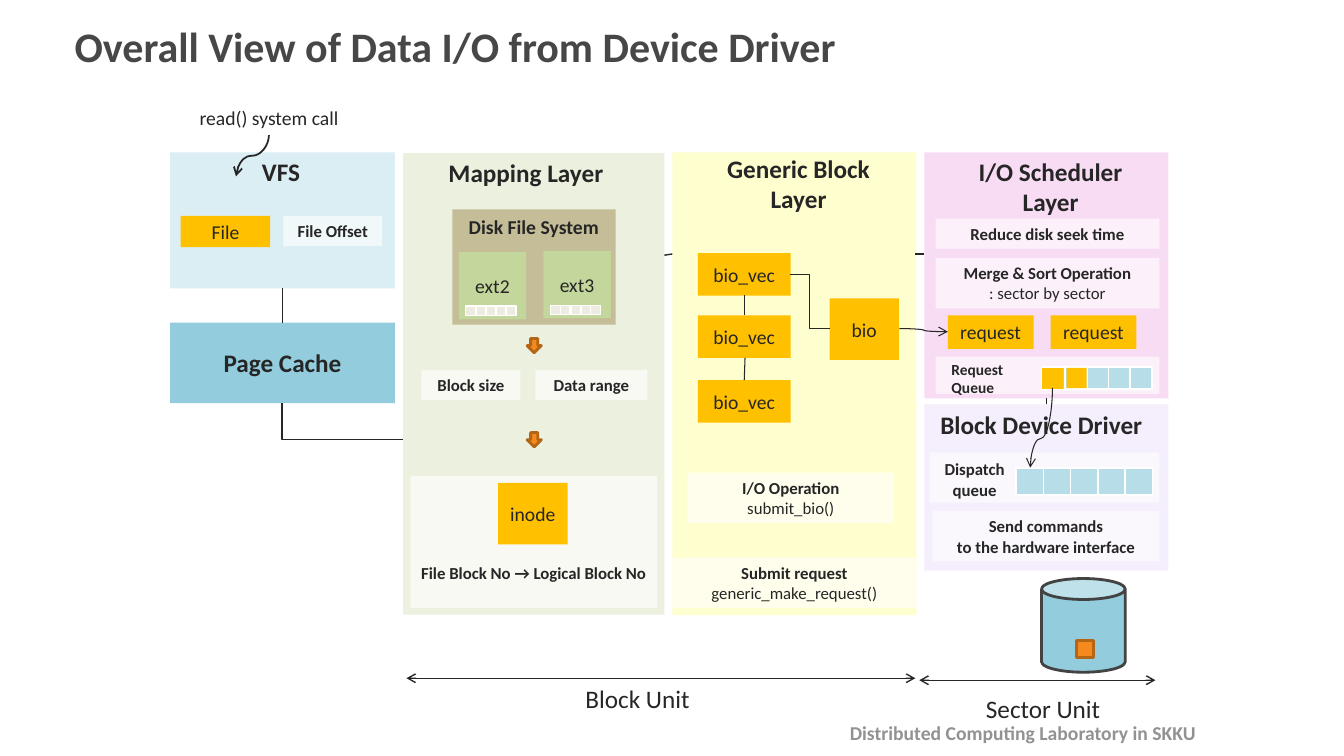
"""Build the slide on data I/O from system call to device driver."""
from lxml.etree import SubElement
from pptx import Presentation
from pptx.dml.color import RGBColor
from pptx.enum.shapes import MSO_CONNECTOR, MSO_SHAPE
from pptx.enum.text import MSO_ANCHOR, PP_ALIGN
from pptx.oxml.ns import qn
from pptx.util import Cm, Pt

HUES = {
    "ink": "262626", "title": "474747", "foot": "929292", "white": "FFFFFF",
    "pink": "F8DCF4", "cream": "FFFECE", "sage": "EBF1DE", "ice": "DBEEF4",
    "lilac": "F5EEFC", "sea": "93CDDD", "sky": "B7DEE8", "gold": "FFC000",
    "sand": "C4BD97", "leaf": "C3D69B", "bone": "EEECE1", "edge": "434343",
    "flame": "F4891E", "rust": "B56516",
}


def inch(size):
    return Cm(round(size * 2.54, 2))


def hue(name):
    return RGBColor.from_string(HUES[name])


def write(shape, text, size=14, bold=False, color="ink", align=PP_ALIGN.CENTER,
          anchor=MSO_ANCHOR.MIDDLE, thin=False):
    frame = shape.text_frame
    frame.word_wrap = True
    frame.vertical_anchor = anchor
    for row, words in enumerate(text.split("\n")):
        para = frame.paragraphs[0] if row == 0 else frame.add_paragraph()
        para.alignment = align
        run = para.add_run()
        run.text = words
        font = run.font
        font.name, font.size = "Calibri", Pt(size)
        font.bold = bold and not (thin and row)
        font.color.rgb = hue(color)


def block(slide, place, fill, line=None, width=1.25, kind=MSO_SHAPE.RECTANGLE,
          text="", **style):
    shape = slide.shapes.add_shape(kind, *map(inch, place))
    shape.shadow.inherit = False
    shape.fill.solid()
    shape.fill.fore_color.rgb = hue(fill)
    if line:
        shape.line.color.rgb = hue(line)
        shape.line.width = Pt(width)
    else:
        shape.line.fill.background()
    if text:
        write(shape, text, **style)
    return shape


def note(slide, place, text="", **style):
    shape = block(slide, place, "white", text=text, size=12, bold=True, **style)
    tint = shape.fill._xPr.find(".//" + qn("a:srgbClr"))
    SubElement(tint, qn("a:alpha")).set("val", "62000")


def label(slide, place, text, anchor=MSO_ANCHOR.TOP, **style):
    box = slide.shapes.add_textbox(*map(inch, place))
    write(box, text, anchor=anchor, **style)


def cells(slide, left, top, step, wide, high, fill):
    for spot in range(5):
        block(slide, (left + spot * step, top, wide, high), fill, line="white")


def link(slide, start, end, width=1, kind=MSO_CONNECTOR.STRAIGHT, down=False,
         preset=None, bend=None, heads=()):
    """Join two points; down leaves the start going down instead of across."""
    (left, top), (right, base) = start, end
    if down:
        midx, midy = (left + right) / 2, (top + base) / 2
        halfx, halfy = (right - left) / 2, (base - top) / 2
        left, right = midx - halfy, midx + halfy
        top, base = midy + halfx, midy - halfx
    wire = slide.shapes.add_connector(kind, *map(inch, (left, top, right, base)))
    wire.line.color.rgb = hue("ink")
    wire.line.width = Pt(width)
    props = wire._element.spPr
    if down:
        props.find(qn("a:xfrm")).set("rot", "5400000")
    form = props.find(qn("a:prstGeom"))
    if preset:
        form.set("prst", preset)
    if bend:
        guide = SubElement(form.find(qn("a:avLst")), qn("a:gd"))
        guide.set("name", "adj1")
        guide.set("fmla", f"val {bend}")
    for head in heads:
        SubElement(props.find(qn("a:ln")), qn("a:" + head)).set("type", "arrow")
    SubElement(props, qn("a:effectLst"))


def draw_cache(slide):
    block(slide, (1.69, 1.51, 2.23, 1.35), "ice")
    label(slide, (1.67, 1, 2, 0.34), "read() system call")
    label(slide, (2.5, 1.5, 0.8, 0.42), "VFS", size=18, bold=True, align=PP_ALIGN.LEFT)
    block(slide, (1.79, 2.14, 0.89, 0.31), "gold", text="File")
    note(slide, (2.81, 2.14, 0.98, 0.3), "File Offset")
    block(slide, (1.69, 3.2, 2.23, 0.8), "sea", text="Page Cache", size=18, bold=True)
    link(slide, (2.67, 1.34), (2.34, 1.75), 1.25, MSO_CONNECTOR.CURVE, down=True,
         heads=["tailEnd"])
    link(slide, (2.8, 2.86), (2.8, 3.2))
    link(slide, (2.8, 4), (4, 4.36), kind=MSO_CONNECTOR.ELBOW, down=True,
         preset="bentConnector2")


def draw_map(slide):
    block(slide, (4, 1.52, 2.59, 4.58), "sage")
    label(slide, (4.35, 1.51, 2, 0.4), "Mapping Layer", size=18, bold=True,
          align=PP_ALIGN.LEFT)
    block(slide, (4.49, 2.08, 1.62, 1.14), "sand")
    label(slide, (4.55, 2.08, 1.72, 0.34), "Disk File System", bold=True,
          align=PP_ALIGN.LEFT)
    for name, left, top in (("ext2", 4.55, 2.5), ("ext3", 5.39, 2.49)):
        block(slide, (left, top, 0.67, 0.67), "leaf", text=name)
        cells(slide, left + 0.07, top + 0.54, 0.1, 0.1, 0.09, "bone")
    for top in (3.36, 4.29):
        block(slide, (5.23, top, 0.14, 0.14), "flame", "rust", 2, MSO_SHAPE.DOWN_ARROW)
    note(slide, (4.18, 3.67, 0.98, 0.3), "Block size")
    note(slide, (5.31, 3.67, 1.11, 0.3), "Data range")
    note(slide, (4.07, 4.72, 2.45, 1.31))
    block(slide, (4.94, 4.79, 0.69, 0.61), "gold", text="inode")
    label(slide, (4.07, 5.53, 2.45, 0.3), "File Block No → Logical Block No",
          size=12, bold=True)


def draw_block(slide):
    block(slide, (6.67, 1.51, 2.42, 4.59), "cream")
    label(slide, (6.92, 1.47, 2, 0.71), "Generic Block Layer", size=18, bold=True)
    for top in (2.51, 3.13, 3.77):
        block(slide, (6.92, top, 0.92, 0.42), "gold", text="bio_vec")
    block(slide, (8.23, 2.96, 0.69, 0.61), "gold", text="bio")
    note(slide, (6.82, 4.69, 2.05, 0.5), "I/O Operation\nsubmit_bio()", thin=True)
    note(slide, (6.67, 5.53, 2.42, 0.5), "Submit request\ngeneric_make_request()",
         thin=True)
    link(slide, (8.23, 3.26), (7.84, 2.72), 0.75, MSO_CONNECTOR.ELBOW)
    link(slide, (7.38, 2.93), (7.38, 3.13), 0.75)
    link(slide, (7.39, 3.55), (7.38, 3.77), 0.75)


def draw_queue(slide):
    block(slide, (9.17, 1.51, 2.42, 2.44), "pink")
    label(slide, (9.42, 1.5, 2, 0.71), "I/O Scheduler Layer", size=18, bold=True)
    note(slide, (9.28, 2.17, 2.22, 0.3), "Reduce disk seek time")
    note(slide, (9.28, 2.56, 2.22, 0.5), "Merge & Sort Operation\n: sector by sector",
         thin=True)
    for left in (9.4, 10.42):
        block(slide, (left, 3.13, 0.85, 0.33), "gold", text="request")
    note(slide, (9.28, 3.54, 2.22, 0.37))
    label(slide, (9.34, 3.52, 0.89, 0.47), "Request\nQueue", size=11, bold=True,
          align=PP_ALIGN.LEFT)
    cells(slide, 10.35, 3.64, 0.215, 0.22, 0.22, "sky")
    block(slide, (10.33, 3.64, 0.22, 0.22), "gold", "white", 0.25)
    block(slide, (10.58, 3.65, 0.2, 0.2), "gold")
    link(slide, (8.92, 3.26), (9.4, 3.29), 0.75, MSO_CONNECTOR.CURVE,
         heads=["tailEnd"])


def draw_drive(slide):
    block(slide, (9.17, 4.01, 2.42, 1.65), "lilac")
    label(slide, (9.23, 4.01, 2.3, 0.4), "Block Device Driver", size=18, bold=True,
          align=PP_ALIGN.LEFT)
    note(slide, (9.22, 4.49, 2.28, 0.5))
    label(slide, (9.25, 4.55, 0.83, 0.41), "Dispatch\nqueue", size=12, bold=True,
          anchor=MSO_ANCHOR.MIDDLE)
    cells(slide, 10.08, 4.64, 0.27, 0.27, 0.27, "sky")
    note(slide, (9.25, 5.07, 2.25, 0.5), "Send commands\nto the hardware interface")
    link(slide, (10.44, 3.85), (10.22, 4.64), 0.75, MSO_CONNECTOR.CURVE, down=True,
         bend=63100, heads=["tailEnd"])
    block(slide, (10.33, 5.74, 0.83, 0.93), "sea", "edge", 2, MSO_SHAPE.CAN)
    block(slide, (10.68, 6.36, 0.17, 0.17), "flame", "rust", 2)


def draw_units(slide):
    ends = ["headEnd", "tailEnd"]
    link(slide, (4.03, 6.73), (9.08, 6.73), heads=ends)
    link(slide, (9.12, 6.75), (11.46, 6.75), heads=ends)
    label(slide, (5.71, 6.73, 1.4, 0.4), "Block Unit", size=18, align=PP_ALIGN.LEFT)
    label(slide, (9.68, 6.83, 1.59, 0.4), "Sector Unit", size=18, align=PP_ALIGN.LEFT)


def main():
    deck = Presentation()
    deck.slide_width, deck.slide_height = inch(13.33), inch(7.5)
    slide = deck.slides.add_slide(deck.slide_layouts[6])
    label(slide, (8.33, 7.1, 4.9, 0.38), "Distributed Computing Laboratory in SKKU",
          bold=True, color="foot", align=PP_ALIGN.LEFT)
    label(slide, (0.64, 0.08, 12.25, 0.75), "Overall View of Data I/O from Device Driver",
          size=30, bold=True, color="title", align=PP_ALIGN.LEFT,
          anchor=MSO_ANCHOR.MIDDLE)
    for draw in (draw_cache, draw_map, draw_block, draw_queue, draw_drive, draw_units):
        draw(slide)
    link(slide, (6.59, 2.53), (6.67, 2.52))
    link(slide, (9.08, 2.52), (9.16, 2.52))
    link(slide, (10.38, 4.01), (10.38, 3.95))
    deck.save("out.pptx")


if __name__ == "__main__":
    main()
